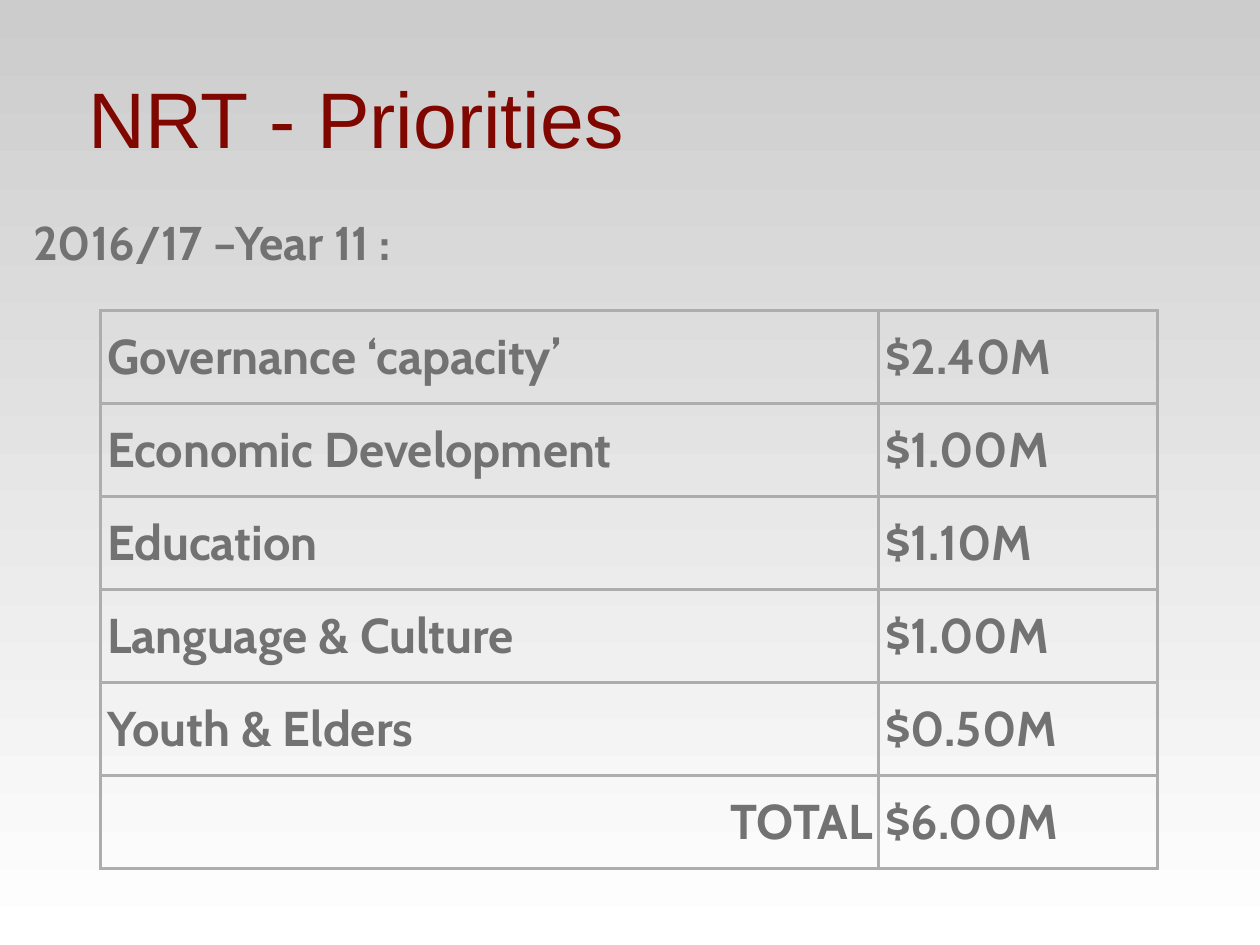
from lxml.etree import SubElement
from pptx import Presentation
from pptx.dml.color import RGBColor
from pptx.enum.text import MSO_ANCHOR, PP_ALIGN
from pptx.oxml.ns import qn
from pptx.util import Pt

# Content
TITLE = "NRT - Priorities"
PERIOD = "2016/17 –Year 11 :"
BUDGET = [
    ("Governance ‘capacity’", "$2.40M"),
    ("Economic Development", "$1.00M"),
    ("Education", "$1.10M"),
    ("Language & Culture", "$1.00M"),
    ("Youth & Elders", "$0.50M"),
    ("TOTAL", "$6.00M"),
]

# Layout and colours
COLUMN_WIDTHS = (494, 177)
ROW_HEIGHT = 59.1
INSET = 4
RED, GREY, RULE = "800600", "727272", "ADADAD"
BACKGROUND = ("CCCCCC", "FFFFFF")


def colour(value):
    return RGBColor.from_string(value)


def set_font(para, name, size, value, bold=False):
    for span in para.runs:
        span.font.name = name
        span.font.size = Pt(size)
        span.font.bold = bold
        span.font.color.rgb = colour(value)


def set_margins(holder, inset):
    holder.margin_left = holder.margin_right = Pt(inset)
    holder.margin_top = holder.margin_bottom = Pt(inset)


def add_borders(cell):
    properties = cell._tc.get_or_add_tcPr()
    for position, side in enumerate(("lnL", "lnR", "lnT", "lnB")):
        line = SubElement(properties, qn(f"a:{side}"), w=str(Pt(2)))
        fill = SubElement(line, qn("a:solidFill"))
        SubElement(fill, qn("a:srgbClr"), val=RULE)
        properties.insert(position, line)


deck = Presentation()
deck.slide_width, deck.slide_height = Pt(800), Pt(600)
page = deck.slides.add_slide(deck.slide_layouts[5])

# Background, dark at the top
backdrop = page.background.fill
backdrop.gradient()
backdrop.gradient_angle = 270
for stop, value in zip(backdrop.gradient_stops, BACKGROUND):
    stop.color.rgb = colour(value)

# Title
title = page.shapes.title
title.left, title.top, title.width, title.height = Pt(52), Pt(16), Pt(695), Pt(117)
frame = title.text_frame
frame.text = TITLE
frame.vertical_anchor = MSO_ANCHOR.MIDDLE
set_margins(frame, INSET)
frame.paragraphs[0].alignment = PP_ALIGN.LEFT
set_font(frame.paragraphs[0], "Arial", 50, RED)

# Period
period = page.shapes.add_textbox(Pt(21), Pt(135.5), Pt(266), Pt(36))
frame = period.text_frame
frame.text = PERIOD
frame.word_wrap = False
frame.vertical_anchor = MSO_ANCHOR.MIDDLE
set_margins(frame, 0)
set_font(frame.paragraphs[0], "Cabin", 30, GREY, bold=True)

# Budget table
table = page.shapes.add_table(
    len(BUDGET), len(COLUMN_WIDTHS), Pt(64), Pt(197),
    Pt(sum(COLUMN_WIDTHS)), Pt(ROW_HEIGHT * len(BUDGET)),
).table
table.first_row = table.horz_banding = False
for column, width in zip(table.columns, COLUMN_WIDTHS):
    column.width = Pt(width)
for row, entry in zip(table.rows, BUDGET):
    row.height = Pt(ROW_HEIGHT)
    for cell, text in zip(row.cells, entry):
        cell.text = text
        cell.vertical_anchor = MSO_ANCHOR.MIDDLE
        set_margins(cell, INSET)
        cell.fill.background()
        add_borders(cell)
        para = cell.text_frame.paragraphs[0]
        para.alignment = PP_ALIGN.RIGHT if text == "TOTAL" else PP_ALIGN.LEFT
        set_font(para, "Cabin", 31, GREY, bold=True)

deck.save("out.pptx")
